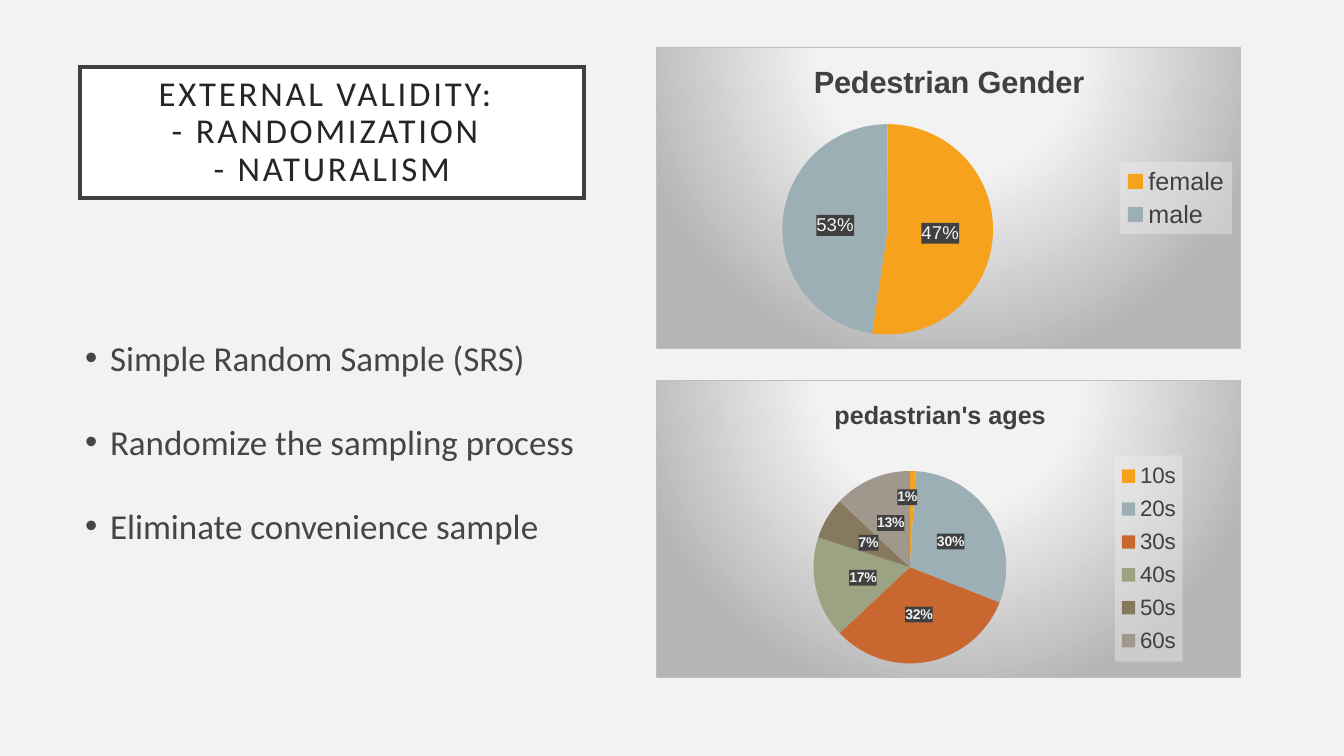
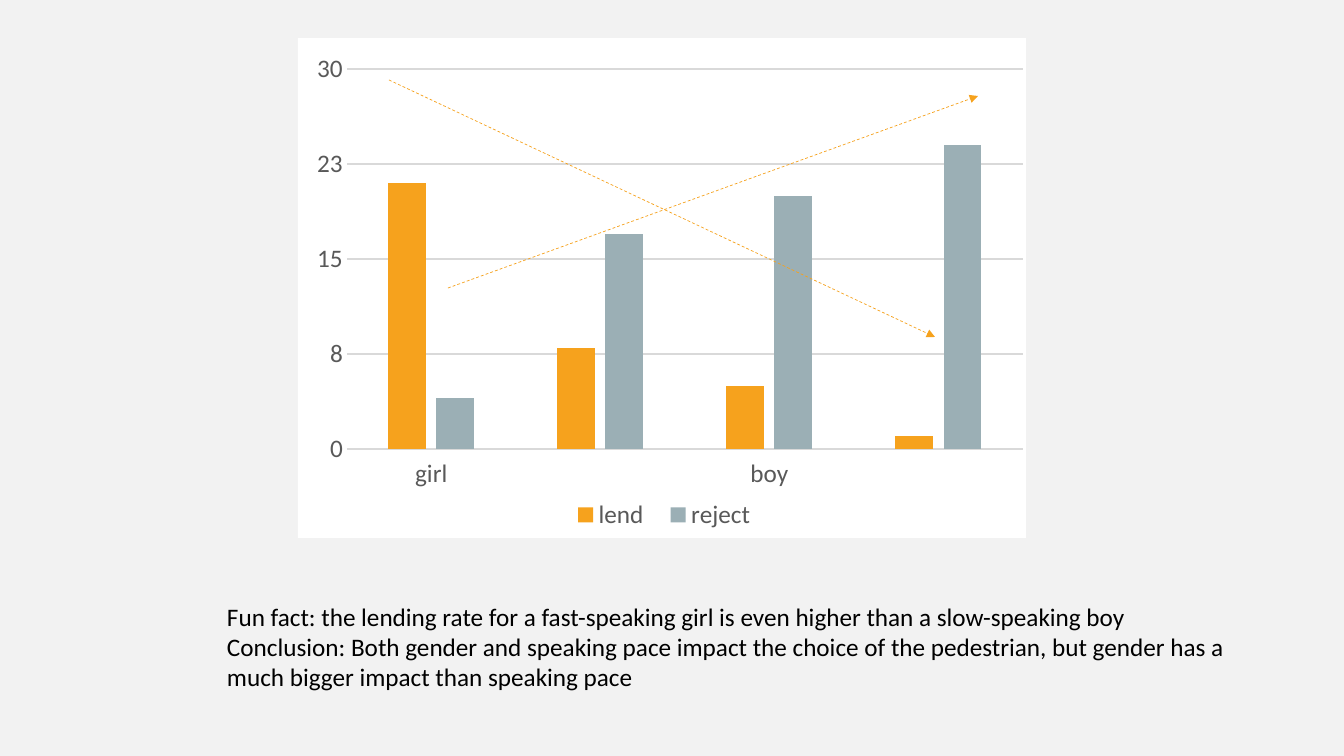
"""Build two slides on pedestrian sampling and lending results."""
from pptx import Presentation
from pptx.chart.data import CategoryChartData
from pptx.dml.color import RGBColor
from pptx.enum.chart import XL_CHART_TYPE, XL_LABEL_POSITION, XL_LEGEND_POSITION, XL_TICK_LABEL_POSITION, XL_TICK_MARK
from pptx.enum.dml import MSO_LINE
from pptx.enum.shapes import MSO_CONNECTOR, MSO_SHAPE
from pptx.enum.text import MSO_ANCHOR, PP_ALIGN
from pptx.oxml import parse_xml
from pptx.oxml.ns import nsdecls, qn
from pptx.util import Pt

PIE, COLUMN = XL_CHART_TYPE.PIE, XL_CHART_TYPE.COLUMN_CLUSTERED
RIGHT, BOTTOM = XL_LEGEND_POSITION.RIGHT, XL_LEGEND_POSITION.BOTTOM
CENTER_LABEL, LOW, NO_TICK = XL_LABEL_POSITION.CENTER, XL_TICK_LABEL_POSITION.LOW, XL_TICK_MARK.NONE
DASH, STRAIGHT, RECTANGLE = MSO_LINE.DASH, MSO_CONNECTOR.STRAIGHT, MSO_SHAPE.RECTANGLE
MIDDLE, TOP, CENTERED, LEFT = MSO_ANCHOR.MIDDLE, MSO_ANCHOR.TOP, PP_ALIGN.CENTER, PP_ALIGN.LEFT

SLIDE_W, SLIDE_H = 1344, 756
EMU_PER_PX = 12192000 / SLIDE_W
BODY_FONT, CHART_FONT = "Calibri", "Arial"
COLORS = {
    "page": "F2F2F2", "white": "FFFFFF", "black": "000000", "frame": "404040",
    "title": "262626", "body": "454545", "axis": "595959", "grid": "D9D9D9",
    "edge": "BFBFBF", "shade": "B5B5B5", "orange": "F6A21D", "blue": "9BAFB5",
    "rust": "C96731", "sage": "9CA383", "brown": "87795D", "taupe": "A0988C",
}
SERIES_COLORS = ["orange", "blue", "rust", "sage", "brown", "taupe"]

TITLE = "EXTERNAL VALIDITY: \v- RANDOMIZATION \v- NATURALISM"
TITLE_BOX = (80, 67, 504, 131)
POINTS = ["Simple Random Sample (SRS)", "Randomize the sampling process", "Eliminate convenience sample"]
POINTS_BOX = (80, 290, 852, 342)
PIES = [
    {"title": "Pedestrian Gender", "title_size": 22, "title_at": (808, 57),
     "box": (656, 47, 585, 302), "plot": (782, 124, 212, 211),
     "legend": (1120, 162, 113, 72), "legend_size": 18,
     "data": {"female": 44, "male": 40}, "labels": ["47%", "53%"], "show_value": True,
     "label_size": 13.3, "bold": False, "shifts": {}},
    {"title": "pedastrian's ages", "title_size": 18, "title_at": (830, 393),
     "box": (656, 380, 585, 298), "plot": (813, 471, 194, 193),
     "legend": (1115, 455, 68, 207), "legend_size": 16,
     "data": {"10s": 1, "20s": 30, "30s": 32, "40s": 17, "50s": 7, "60s": 13},
     "labels": [], "show_value": False,
     "label_size": 10, "bold": True, "shifts": {0: (-4, -22)}},
]
LENDING_GROUPS = ["girl", "", "boy", ""]
LENDING = {"lend": [21, 8, 5, 1], "reject": [4, 17, 20, 24]}
LENDING_BOX, LENDING_PLOT = (298, 38, 728, 500), (347, 69, 676, 380)
LENDING_LEGEND = (559, 497, 210, 36)
TRENDS = [((389, 80), (935, 337)), ((448, 288), (978, 96))]
FINDINGS = [
    "Fun fact: the lending rate for a fast-speaking girl is even higher than a slow-speaking boy",
    "Conclusion: Both gender and speaking pace impact the choice of the pedestrian, "
    "but gender has a much bigger impact than speaking pace",
]
FINDINGS_BOX = (222, 596, 1047, 132)


def px(*lengths):
    return [round(length * EMU_PER_PX) for length in lengths]


def rgb(name):
    return RGBColor.from_string(COLORS[name])


def solid(fill, name):
    fill.solid()
    fill.fore_color.rgb = rgb(name)


def style(font, size, color, face=BODY_FONT, bold=False):
    font.name, font.size, font.bold = face, Pt(size), bold
    font.color.rgb = rgb(color)


def new_slide(deck):
    slide = deck.slides.add_slide(deck.slide_layouts[6])
    solid(slide.background.fill, "page")
    return slide


def write(shape, lines, size, color, inset, anchor=TOP, align=LEFT, spacing=1.0):
    frame = shape.text_frame
    frame.word_wrap, frame.vertical_anchor = True, anchor
    frame.margin_left = frame.margin_top = frame.margin_right = frame.margin_bottom = px(inset)[0]
    for index, line in enumerate(lines):
        paragraph = frame.paragraphs[0] if index == 0 else frame.add_paragraph()
        paragraph.alignment, paragraph.line_spacing = align, spacing
        for part_index, part in enumerate(line.split("\v")):
            if part_index:
                paragraph.add_line_break()
            run = paragraph.add_run()
            run.text = part
            style(run.font, size, color)
    return frame.paragraphs


def add_bullet(paragraph):
    properties = paragraph._p.get_or_add_pPr()
    indent = px(25)[0]
    properties.set("marL", str(indent))
    properties.set("indent", str(-indent))
    properties.append(parse_xml(f'<a:buFont {nsdecls("a")} typeface="Arial"/>'))
    properties.append(parse_xml(f'<a:buChar {nsdecls("a")} char="•"/>'))


def solid_xml(name, alpha=100):
    return f'<a:solidFill><a:srgbClr val="{COLORS[name]}"><a:alpha val="{alpha * 1000}"/></a:srgbClr></a:solidFill>'


def gradient_xml():
    stops = "".join(f'<a:gs pos="{at * 1000}"><a:srgbClr val="{COLORS[name]}"/></a:gs>'
                    for at, name in [(0, "page"), (39, "page"), (100, "shade")])
    return (f'<a:gradFill><a:gsLst>{stops}</a:gsLst><a:path path="circle">'
            '<a:fillToRect l="50000" t="-80000" r="50000" b="180000"/></a:path></a:gradFill>')


def chart_area(fill, line="<a:noFill/>"):
    return parse_xml(f'<c:spPr {nsdecls("c", "a")}>{fill}<a:ln w="9525">{line}</a:ln></c:spPr>')


def layout_xml(settings, shares):
    values = "".join(f'<c:{key} val="{share:.3f}"/>' for key, share in zip("xywh", shares))
    return parse_xml(f'<c:layout {nsdecls("c")}><c:manualLayout>{settings}{values}</c:manualLayout></c:layout>')


def place(part, spot, chart_box, inner=False):
    """Pin a chart part at slide px, as fractions of the chart."""
    for old in part.findall(qn("c:layout")):
        part.remove(old)
    left, top, width, height = chart_box
    shares = [(spot[0] - left) / width, (spot[1] - top) / height]
    if len(spot) == 4:
        shares += [spot[2] / width, spot[3] / height]
    target = '<c:layoutTarget val="inner"/>' if inner else ""
    layout = layout_xml(target + '<c:xMode val="edge"/><c:yMode val="edge"/>', shares)
    overlay = part.find(qn("c:overlay"))
    if overlay is None:
        part.insert(0, layout)
    else:
        overlay.addprevious(layout)


def add_chart(slide, kind, box, plot, categories, series, legend_at, legend_box, legend_style):
    data = CategoryChartData()
    data.categories = categories
    for name, values in series.items():
        data.add_series(name, values)
    chart = slide.shapes.add_chart(kind, *px(*box), data).chart
    style(chart.font, 10, "black", CHART_FONT)
    chart.has_title = False
    chart.has_legend = True
    chart.legend.position = legend_at
    chart.legend.include_in_layout = kind == COLUMN
    style(chart.legend.font, *legend_style)
    place(chart.element.find(".//" + qn("c:legend")), legend_box, box)
    place(chart.element.find(".//" + qn("c:plotArea")), plot, box, inner=True)
    return chart


def shade_labels(labels):
    anchor = next(child for child in labels
                  if child.tag in (qn("c:txPr"), qn("c:dLblPos"), qn("c:showLegendKey")))
    anchor.addprevious(chart_area(solid_xml("frame", 75)))


def shift_label(point, shift, chart_box, label_style):
    label = point.data_label
    style(label.font, *label_style)
    label.position = CENTER_LABEL
    element = label._dLbl
    element.find(qn("c:showVal")).set("val", "0")
    element.find(qn("c:showPercent")).set("val", "1")
    shares = [shift[0] / chart_box[2], shift[1] / chart_box[3]]
    element.find(qn("c:idx")).addnext(layout_xml("", shares))


def add_pie(slide, pie):
    box = pie["box"]
    chart = add_chart(slide, PIE, box, pie["plot"], list(pie["data"]),
                      {"Series 1": list(pie["data"].values())}, RIGHT, pie["legend"],
                      (pie["legend_size"], "frame", CHART_FONT))
    chart.element.find(qn("c:chart")).addnext(chart_area(gradient_xml(), solid_xml("edge")))
    chart.has_title = True
    heading = chart.chart_title.text_frame.paragraphs[0].add_run()
    heading.text = pie["title"]
    style(heading.font, pie["title_size"], "frame", CHART_FONT, True)
    place(chart.element.find(".//" + qn("c:title")), pie["title_at"], box)
    legend = chart.element.find(".//" + qn("c:legend"))
    legend.find(qn("c:overlay")).addnext(chart_area(solid_xml("page", 39)))

    chart.plots[0].vary_by_categories = True
    slices = chart.plots[0].series[0]
    labels = slices.data_labels
    labels.show_percentage, labels.show_value = True, pie["show_value"]
    labels.number_format, labels.number_format_is_linked = "0%", False
    labels.position = CENTER_LABEL
    label_style = (pie["label_size"], "page", CHART_FONT, pie["bold"])
    style(labels.font, *label_style)
    for index, color in zip(range(len(pie["data"])), SERIES_COLORS):
        solid(slices.points[index].format.fill, color)
    for index, text in enumerate(pie["labels"]):
        label = slices.points[index].data_label
        run = label.text_frame.paragraphs[0].add_run()
        run.text = text
        style(run.font, *label_style)
        label.position = CENTER_LABEL
    for index, shift in pie["shifts"].items():
        shift_label(slices.points[index], shift, box, label_style)
    for element in chart.element.iter(qn("c:dLbls"), qn("c:dLbl")):
        shade_labels(element)


def add_lending(slide):
    chart = add_chart(slide, COLUMN, LENDING_BOX, LENDING_PLOT, LENDING_GROUPS, LENDING,
                      BOTTOM, LENDING_LEGEND, (18, "axis"))
    chart.element.find(qn("c:chart")).addnext(chart_area(solid_xml("white")))
    bars = chart.plots[0]
    bars.vary_by_categories, bars.gap_width, bars.overlap = False, 219, -27
    for series, color in zip(bars.series, SERIES_COLORS):
        solid(series.format.fill, color)
    groups, counts = chart.category_axis, chart.value_axis
    for axis in (groups, counts):
        axis.major_tick_mark = axis.minor_tick_mark = NO_TICK
        style(axis.tick_labels.font, 18, "axis")
    groups.tick_label_position = LOW
    counts.minimum_scale, counts.maximum_scale, counts.major_unit = 0, 30, 7.5
    counts.tick_labels.number_format, counts.tick_labels.number_format_is_linked = "0", False
    counts.format.line.fill.background()
    counts.has_major_gridlines = True
    for line in (groups.format.line, counts.major_gridlines.format.line):
        line.color.rgb, line.width = rgb("grid"), Pt(1)


def add_trend(slide, start, end):
    arrow = slide.shapes.add_connector(STRAIGHT, *px(*start, *end))
    arrow.line.color.rgb, arrow.line.width, arrow.line.dash_style = rgb("orange"), Pt(0.5), DASH
    properties = arrow._element.spPr
    properties.find(qn("a:ln")).append(parse_xml(f'<a:tailEnd {nsdecls("a")} type="triangle"/>'))
    properties.append(parse_xml(f'<a:effectLst {nsdecls("a")}/>'))


def build_validity(deck):
    slide = new_slide(deck)
    banner = slide.shapes.add_shape(RECTANGLE, *px(*TITLE_BOX))
    banner.shadow.inherit = False
    solid(banner.fill, "white")
    banner.line.color.rgb, banner.line.width = rgb("frame"), Pt(2.5)
    banner.line._ln.append(parse_xml(f'<a:miter {nsdecls("a")} lim="800000"/>'))
    for paragraph in write(banner, [TITLE], 24.9, "title", 20, MIDDLE, CENTERED, 0.9):
        for run in paragraph.runs:
            run.font._element.set("spc", "200")
            run.font._element.set("kern", "0")
    points = slide.shapes.add_textbox(*px(*POINTS_BOX))
    solid(points.fill, "page")
    for paragraph in write(points, POINTS, 25, "body", 5, spacing=2.0):
        add_bullet(paragraph)
    for pie in PIES:
        add_pie(slide, pie)


def build_lending(deck):
    slide = new_slide(deck)
    add_lending(slide)
    for start, end in TRENDS:
        add_trend(slide, start, end)
    write(slide.shapes.add_textbox(*px(*FINDINGS_BOX)), FINDINGS, 18, "black", 5)


def main():
    deck = Presentation()
    deck.slide_width, deck.slide_height = px(SLIDE_W, SLIDE_H)
    build_validity(deck)
    build_lending(deck)
    deck.save("out.pptx")


if __name__ == "__main__":
    main()
